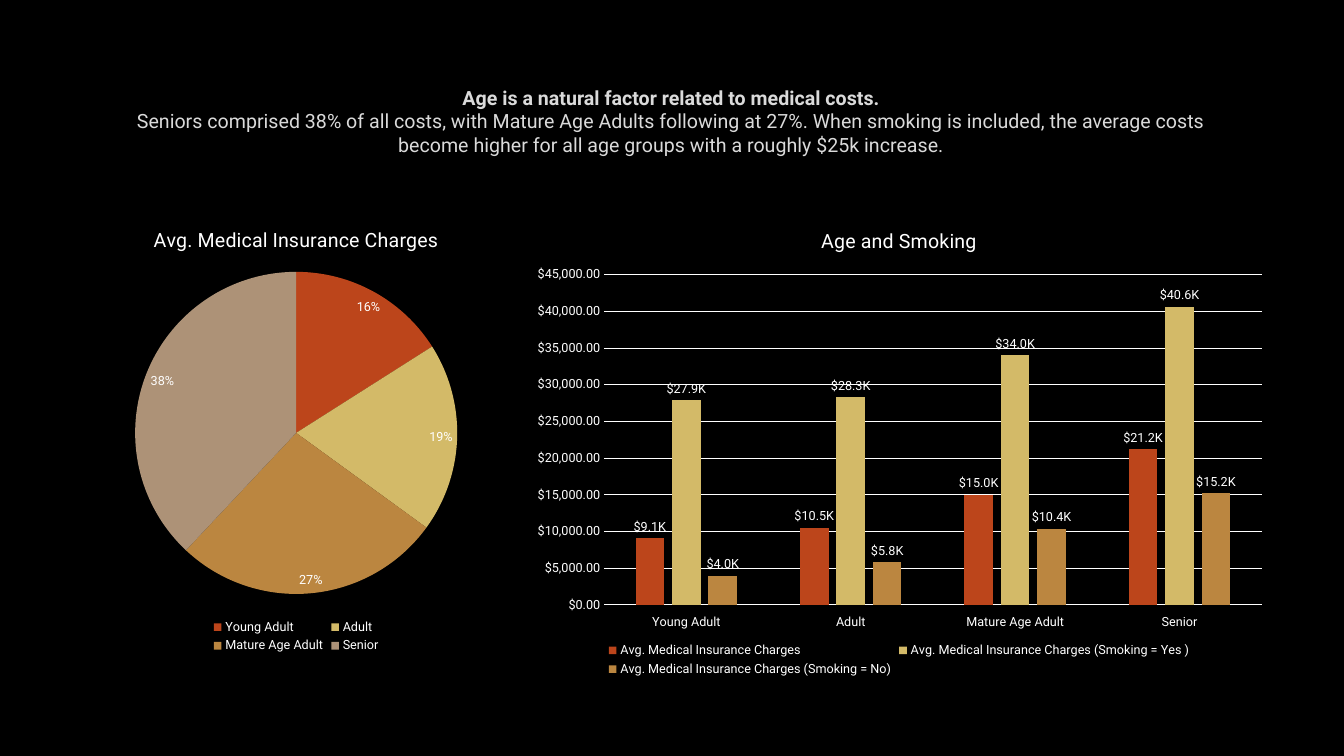
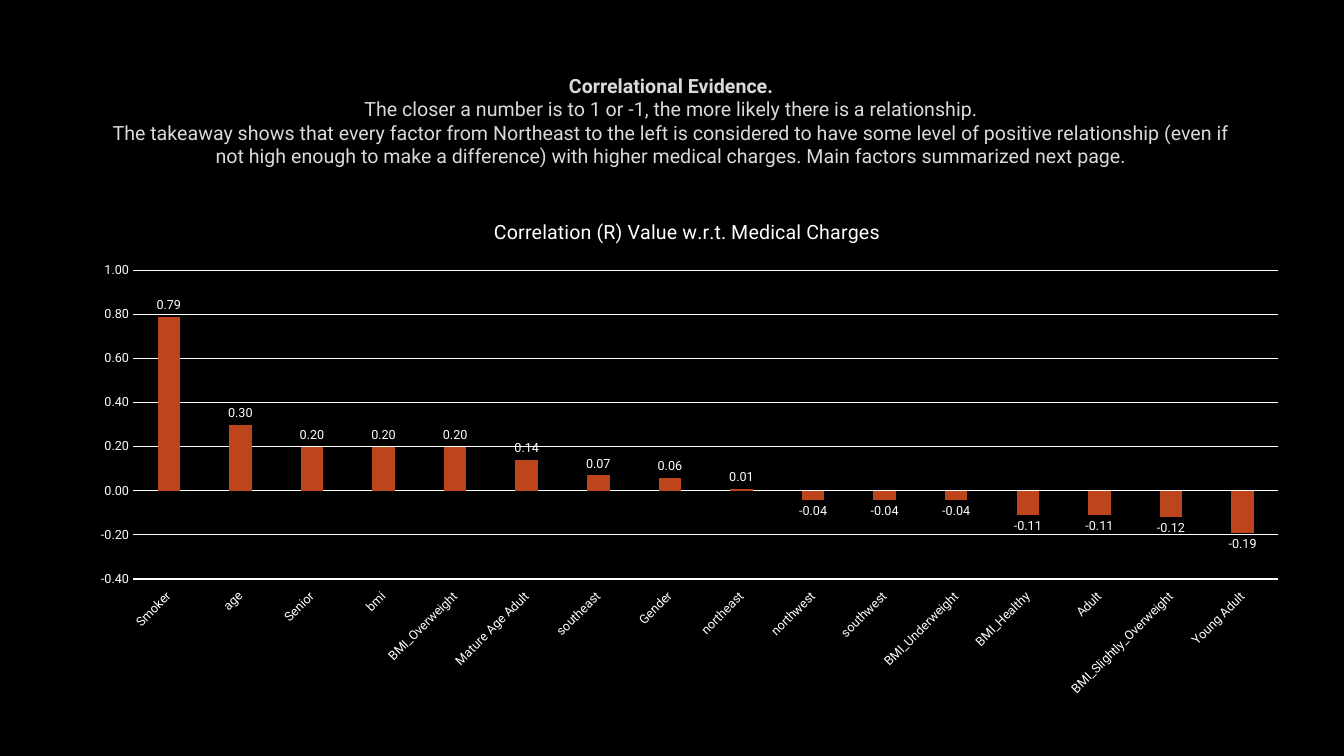
import pptx
import pptx.chart.data
import pptx.dml.color
import pptx.enum.chart
import pptx.enum.text
import pptx.oxml
import pptx.oxml.ns
import pptx.util
from pptx.util import Cm

COLORS = {
    "background": "000000", "heading": "DADADA", "outline": "404040", "text": "FFFFFF",
    "rust": "BC451B", "gold": "D3BA68", "ochre": "BB8640", "taupe": "AD9277",
}
PALETTE = ["rust", "gold", "ochre", "taupe"]
FONT = "Roboto"
HEADING_BOX = (2.54, 1.7, 28.75, 2.69)
AGE_GROUPS = ["Young Adult", "Adult", "Mature Age Adult", "Senior"]
CHARGES = "Avg. Medical Insurance Charges"
SHARES = [0.16, 0.19, 0.27, 0.38]
CHARGES_BY_SMOKING = {
    CHARGES: [9100, 10500, 15000, 21200],
    f"{CHARGES} (Smoking = Yes )": [27900, 28300, 34000, 40600],
    f"{CHARGES} (Smoking = No)": [4000, 5800, 10400, 15200],
}
CORRELATIONS = {
    "Smoker": 0.79, "age": 0.3, "Senior": 0.2, "bmi": 0.2, "BMI_Overweight": 0.2,
    "Mature Age Adult": 0.14, "southeast": 0.07, "Gender": 0.06, "northeast": 0.01,
    "northwest": -0.04, "southwest": -0.04, "BMI_Underweight": -0.04,
    "BMI_Healthy": -0.11, "Adult": -0.11, "BMI_Slightly_Overweight": -0.12,
    "Young Adult": -0.19,
}


def rgb(name):
    return pptx.dml.color.RGBColor.from_string(COLORS[name])


def paint(fill, color):
    fill.solid()
    fill.fore_color.rgb = rgb(color)


def format_font(font, size=9, color="text", bold=False):
    font.name = FONT
    font.size = pptx.util.Pt(size)
    font.bold = bold
    font.color.rgb = rgb(color)


def write(paragraph, text, outline=None, **font_format):
    run = paragraph.add_run()
    run.text = text
    format_font(run.font, **font_format)
    if outline:
        # Faint outline around the letters
        run._r.get_or_add_rPr().insert(0, pptx.oxml.parse_xml(
            f'<a:ln {pptx.oxml.ns.nsdecls("a")} w="9525"><a:solidFill>'
            f'<a:srgbClr val="{COLORS[outline]}"><a:alpha val="10000"/></a:srgbClr>'
            '</a:solidFill></a:ln>'))


def add_heading(slide, box, lines):
    """Centred statement whose first line is bold."""
    frame = slide.shapes.add_textbox(*map(Cm, box)).text_frame
    frame.word_wrap = True
    frame.vertical_anchor = pptx.enum.text.MSO_ANCHOR.MIDDLE
    for index, line in enumerate(lines):
        paragraph = frame.add_paragraph() if index else frame.paragraphs[0]
        paragraph.alignment = pptx.enum.text.PP_ALIGN.CENTER
        write(paragraph, line, size=14, color="heading", bold=index == 0, outline="outline")


def add_chart(slide, box, kind, title, categories, series, plot_area, legend=True):
    """Chart with shared type style; plot_area is x, y, w, h as shares of the box."""
    data = pptx.chart.data.CategoryChartData()
    data.categories = categories
    for name, values in series.items():
        data.add_series(name, values)
    chart = slide.shapes.add_chart(kind, *map(Cm, box), data).chart
    format_font(chart.font, size=10)

    # Title and legend
    write(chart.chart_title.text_frame.paragraphs[0], title, size=14)
    chart.has_legend = legend
    if legend:
        chart.legend.position = pptx.enum.chart.XL_LEGEND_POSITION.BOTTOM
        chart.legend.include_in_layout = False
        format_font(chart.legend.font)

    # Inner plot area
    plot_element = chart._chartSpace.chart.plotArea
    for layout in plot_element.findall(pptx.oxml.ns.qn("c:layout")):
        plot_element.remove(layout)
    sizes = "".join(f'<c:{key} val="{value}"/>' for key, value in zip("xywh", plot_area))
    plot_element.insert(0, pptx.oxml.parse_xml(
        f'<c:layout {pptx.oxml.ns.nsdecls("c")}><c:manualLayout>'
        '<c:layoutTarget val="inner"/><c:xMode val="edge"/><c:yMode val="edge"/>'
        f'{sizes}</c:manualLayout></c:layout>'))
    return chart


def add_labels(series, number_format, position):
    labels = series.data_labels
    labels.show_value = True
    labels.number_format = number_format
    labels.number_format_is_linked = False
    labels.position = position
    format_font(labels.font)


def add_pie(slide, box, title, categories, values, plot_area):
    chart = add_chart(slide, box, pptx.enum.chart.XL_CHART_TYPE.PIE, title,
                      categories, {title: values}, plot_area)
    series = chart.plots[0].series[0]
    for index, color in enumerate(PALETTE):
        paint(series.points[index].format.fill, color)
    add_labels(series, "0%", pptx.enum.chart.XL_LABEL_POSITION.BEST_FIT)


def add_columns(slide, box, title, categories, series, plot_area, scale,
                axis_format, label_format, legend=True, slanted=False):
    """Clustered columns; scale is minimum, maximum and step of the value axis."""
    chart = add_chart(slide, box, pptx.enum.chart.XL_CHART_TYPE.COLUMN_CLUSTERED, title,
                      categories, series, plot_area, legend)
    plot = chart.plots[0]
    plot.gap_width, plot.overlap, plot.vary_by_categories = 219, -27, False
    for column, color in zip(plot.series, PALETTE):
        paint(column.format.fill, color)
        column.invert_if_negative = False
        add_labels(column, label_format, pptx.enum.chart.XL_LABEL_POSITION.OUTSIDE_END)

    # Axes
    category_axis, value_axis = chart.category_axis, chart.value_axis
    for axis in (category_axis, value_axis):
        axis.major_tick_mark = pptx.enum.chart.XL_TICK_MARK.NONE
        format_font(axis.tick_labels.font)
    category_axis.tick_label_position = pptx.enum.chart.XL_TICK_LABEL_POSITION.LOW
    if slanted:
        category_axis._element.txPr.bodyPr.set("rot", "-2700000")
    value_axis.minimum_scale, value_axis.maximum_scale, value_axis.major_unit = scale
    value_axis.tick_labels.number_format = axis_format
    value_axis.tick_labels.number_format_is_linked = False
    value_axis.format.line.fill.background()
    for line in (category_axis.format.line, value_axis.major_gridlines.format.line):
        paint(line.fill, "text")
        line.width = pptx.util.Pt(0.75)


def build_age_slide(slide):
    add_heading(slide, HEADING_BOX, [
        "Age is a natural factor related to medical costs.",
        "Seniors comprised 38% of all costs, with Mature Age Adults following at 27%. When "
        "smoking is included, the average costs become higher for all age groups with a "
        "roughly $25k increase.",
    ])
    add_pie(slide, (1.98, 5.26, 10.97, 11.3), CHARGES, AGE_GROUPS, SHARES,
            plot_area=(0.13, 0.14, 0.74, 0.72))
    add_columns(slide, (13.13, 5.26, 19.05, 11.89), "Age and Smoking", AGE_GROUPS,
                CHARGES_BY_SMOKING, plot_area=(0.11, 0.14, 0.87, 0.7),
                scale=(0, 45000, 5000), axis_format='"$"#,##0.00',
                label_format='"$"0.0,"K"')


def build_correlation_slide(slide):
    add_heading(slide, HEADING_BOX, [
        "Correlational Evidence.",
        "The closer a number is to 1 or -1, the more likely there is a relationship.",
        "The takeaway shows that every factor from Northeast to the left is considered to "
        "have some level of positive relationship (even if not high enough to make a "
        "difference) with higher medical charges. Main factors summarized next page.",
    ])
    add_columns(slide, (1.8, 5.03, 31.04, 12.75),
                "Correlation (R) Value w.r.t. Medical Charges", list(CORRELATIONS),
                {"Series 1": list(CORRELATIONS.values())},
                plot_area=(0.05, 0.14, 0.93, 0.61), scale=(-0.4, 1, 0.2),
                axis_format="0.00", label_format="0.00", legend=False, slanted=True)


def main():
    presentation = pptx.Presentation()
    presentation.slide_width, presentation.slide_height = Cm(33.87), Cm(19.05)
    paint(presentation.slide_master.background.fill, "background")
    for build in (build_age_slide, build_correlation_slide):
        build(presentation.slides.add_slide(presentation.slide_layouts[6]))
    presentation.save("out.pptx")


if __name__ == "__main__":
    main()
